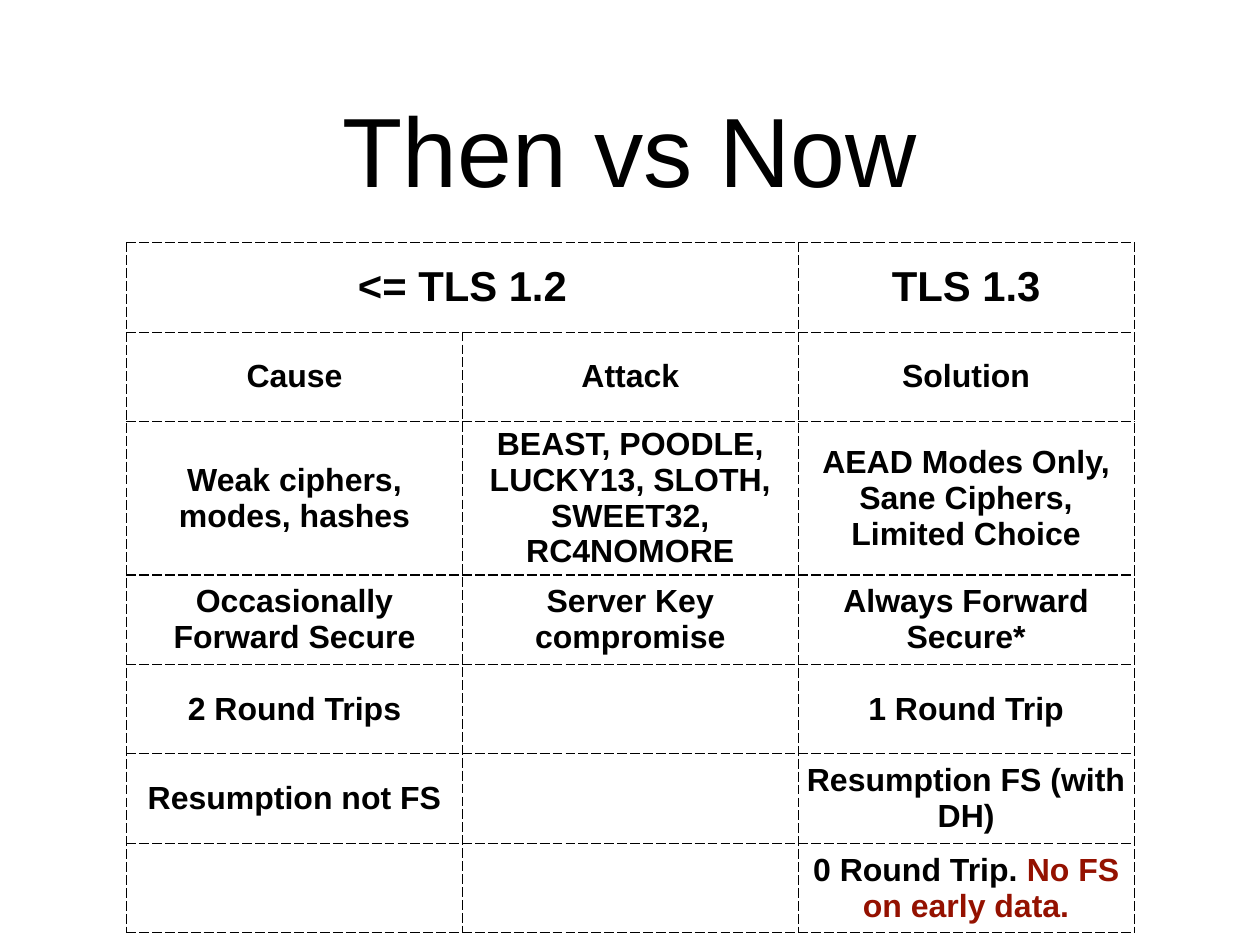
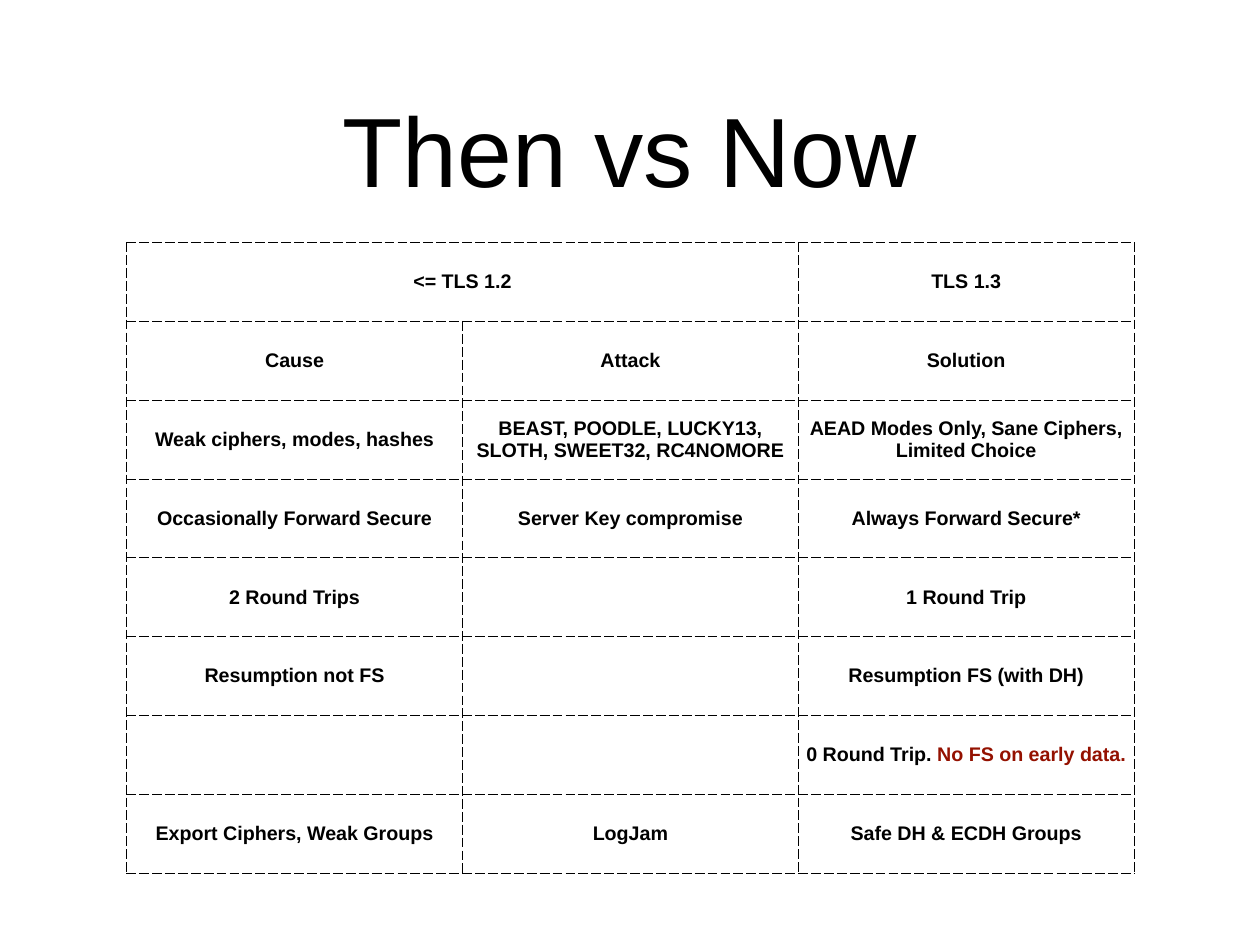
from dataclasses import dataclass

from lxml import etree
from pptx import Presentation
from pptx import util as u
from pptx.dml.color import RGBColor
from pptx.enum import text
from pptx.oxml import ns

TITLE = "Then vs Now"
ROWS = [
    ["<= TLS 1.2", "", "TLS 1.3"],
    ["Cause", "Attack", "Solution"],
    ["Weak ciphers, modes, hashes",
     "BEAST, POODLE, LUCKY13, SLOTH, SWEET32, RC4NOMORE",
     "AEAD Modes Only, Sane Ciphers, Limited Choice"],
    ["Occasionally Forward Secure", "Server Key compromise", "Always Forward Secure*"],
    ["2 Round Trips", "", "1 Round Trip"],
    ["Resumption not FS", "", "Resumption FS (with DH)"],
    ["", "", ("0 Round Trip. ", "No FS on early data.")],
]
EXTRA_ROW = ["Export Ciphers, Weak Groups", "LogJam", "Safe DH & ECDH Groups"]
SLIDES = [
    {"rows": ROWS, "header": 34, "body": 26, "row_height": 1.01, "tall_rows": {2: 1.73}},
    {"rows": ROWS + [EXTRA_ROW], "header": 16, "body": 16, "row_height": 0.89, "tall_rows": {}},
]


@dataclass(frozen=True)
class Theme:
    font: str = "Arial"
    ink: str = "000000"
    accent: str = "941100"
    paper: str = "FFFFFF"
    title: int = 80
    border: float = 1
    dash: str = "lgDash"
    inset: float = 0.06


T = Theme()
SIZE = (14.22, 10.67)
TITLE_BOX = (1.04, 0.49, 12.14, 2.36)
TABLE_AT = (1.43, 2.74)
COL_WIDTH = 3.79


def inches(box):
    return [u.Inches(v) for v in box]


def set_insets(target, vertical):
    target.margin_left = target.margin_right = u.Inches(T.inset)
    target.margin_top = target.margin_bottom = u.Inches(vertical)
    target.vertical_anchor = text.MSO_ANCHOR.MIDDLE


def write(tf, parts, size, bold):
    p = tf.paragraphs[0]
    p.alignment = text.PP_ALIGN.CENTER
    for part, color in zip(parts, (T.ink, T.accent)):
        r = p.add_run()
        r.text = part
        r.font.name, r.font.size, r.font.bold = T.font, u.Pt(size), bold
        r.font.color.rgb = RGBColor.from_string(color)


def set_borders(cell):
    tc_pr = cell._tc.get_or_add_tcPr()
    for side in ("lnL", "lnR", "lnT", "lnB"):
        ln = etree.SubElement(tc_pr, ns.qn(f"a:{side}"), w=str(u.Pt(T.border)))
        fill = etree.SubElement(ln, ns.qn("a:solidFill"))
        etree.SubElement(fill, ns.qn("a:srgbClr"), val=T.ink)
        etree.SubElement(ln, ns.qn("a:prstDash"), val=T.dash)


def add_title(s):
    tf = s.shapes.add_textbox(*inches(TITLE_BOX)).text_frame
    tf.word_wrap = True
    set_insets(tf, T.inset)
    write(tf, [TITLE], T.title, False)


def add_comparison(s, rows, header, body, row_height, tall_rows):
    n_cols = len(rows[0])
    heights = [tall_rows.get(i, row_height) for i in range(len(rows))]
    box = inches((*TABLE_AT, COL_WIDTH * n_cols, sum(heights)))
    table = s.shapes.add_table(len(rows), n_cols, *box).table
    table.first_row = table.horz_banding = False
    for col in table.columns:
        col.width = u.Inches(COL_WIDTH)
    for i, values in enumerate(rows):
        table.rows[i].height = u.Inches(heights[i])
        for j, value in enumerate(values):
            cell = table.cell(i, j)
            set_insets(cell, 0)
            set_borders(cell)
            cell.fill.background()
            if value:
                parts = [value] if isinstance(value, str) else value
                write(cell.text_frame, parts, body if i else header, True)
    table.cell(0, 0).merge(table.cell(0, 1))


def main():
    prs = Presentation()
    prs.slide_width, prs.slide_height = inches(SIZE)
    bg = prs.slide_master.background.fill
    bg.solid()
    bg.fore_color.rgb = RGBColor.from_string(T.paper)
    for content in SLIDES:
        s = prs.slides.add_slide(prs.slide_layouts[6])
        add_title(s)
        add_comparison(s, **content)
    prs.save("out.pptx")


if __name__ == "__main__":
    main()
